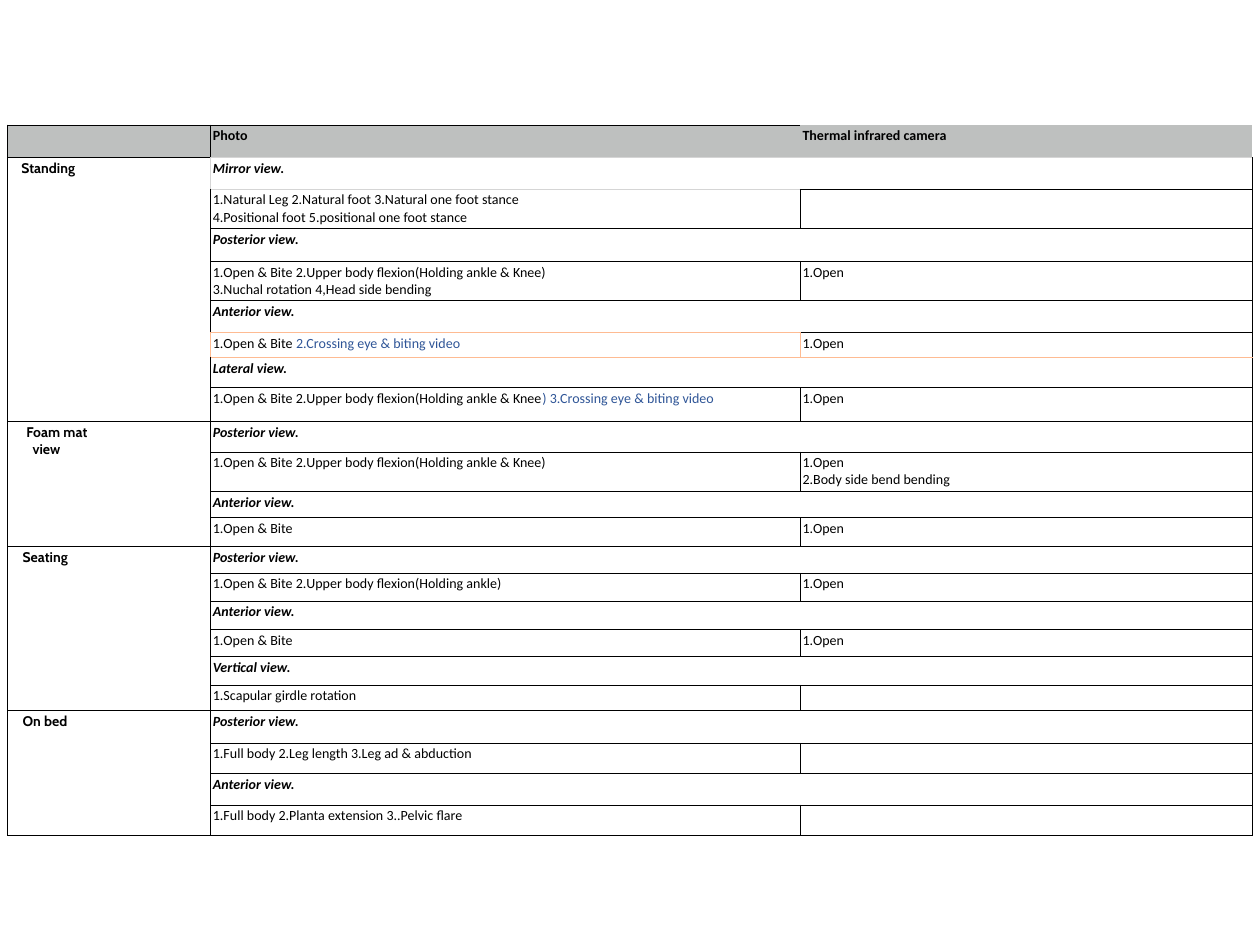
from typing import NamedTuple, Optional

from lxml.etree import SubElement
from pptx import Presentation
from pptx.dml.color import RGBColor as RGB
from pptx.oxml.ns import qn
from pptx.util import Inches, Pt

COLORS = {
    "black": "000000",
    "white": "FFFFFF",
    "header": "BEC0BF",
    "pale": "D5D5D5",
    "orange": "FEBB92",
    "blue": "2F5597",
}
COL_WIDTHS = [1.61, 4.68, 3.59]
INSET = 0.02
FONT_SIZE = 8
BORDER_WIDTH = 0.25


class View(NamedTuple):
    title: str
    photo: str
    thermal: str
    heights: tuple[float, float]
    video: str = ""  # blue ending of the photo text


class Group(NamedTuple):
    label: str
    margin: float
    hanging: float
    views: list[View]


GROUPS = [
    Group("Standing", 0.09, 0, [
        View("Mirror view.",
             "1.Natural Leg 2.Natural foot 3.Natural one foot stance\n"
             "4.Positional foot 5.positional one foot stance", "", (0.25, 0.31)),
        View("Posterior view.",
             "1.Open & Bite 2.Upper body flexion(Holding ankle & Knee)\n"
             "3.Nuchal rotation 4,Head side bending", "1.Open", (0.26, 0.31)),
        View("Anterior view.", "1.Open & Bite ", "1.Open", (0.25, 0.2),
             "2.Crossing eye & biting video"),
        View("Lateral view.", "1.Open & Bite 2.Upper body flexion(Holding ankle & Knee",
             "1.Open", (0.24, 0.27), ") 3.Crossing eye & biting video"),
    ]),
    Group("Foam mat\nview", 0.18, 0.05, [
        View("Posterior view.", "1.Open & Bite 2.Upper body flexion(Holding ankle & Knee)",
             "1.Open\n2.Body side bend bending", (0.24, 0.31)),
        View("Anterior view.", "1.Open & Bite", "1.Open", (0.21, 0.23)),
    ]),
    Group("Seating", 0.1, 0, [
        View("Posterior view.", "1.Open & Bite 2.Upper body flexion(Holding ankle)",
             "1.Open", (0.21, 0.22)),
        View("Anterior view.", "1.Open & Bite", "1.Open", (0.23, 0.21)),
        View("Vertical view.", "1.Scapular girdle rotation", "", (0.23, 0.2)),
    ]),
    Group("On bed", 0.1, 0, [
        View("Posterior view.", "1.Full body 2.Leg length 3.Leg ad & abduction", "",
             (0.26, 0.24)),
        View("Anterior view.", "1.Full body 2.Planta extension 3..Pelvic flare", "",
             (0.25, 0.24)),
    ]),
]

# Sides that differ from the plain black border, by (row, column).
BORDERS: dict[tuple[int, int], dict[str, Optional[str]]] = {
    (0, 1): {"B": "pale", "R": None},
    (0, 2): dict.fromkeys("LRTB"),
    (1, 0): {"R": "pale"},
    (1, 1): {"L": "pale", "T": "pale", "B": "pale"},
    (1, 2): {"L": None, "T": "pale"},
    (2, 1): {"T": "pale"},
    (5, 1): {"B": "orange"},
    (6, 1): dict.fromkeys("LRTB", "orange"),
    (6, 2): {"L": "orange"},
    (7, 1): {"T": "orange"},
}


def style_cell(cell, fill: str, borders: dict[str, Optional[str]]) -> None:
    """Set insets, fill and the four borders; a side of None has no line."""
    cell.margin_left = cell.margin_right = Inches(INSET)
    cell.margin_top = cell.margin_bottom = Inches(INSET)
    tc_pr = cell._tc.get_or_add_tcPr()
    for side in "LRTB":
        color = borders.get(side, "black")
        ln = SubElement(tc_pr, qn(f"a:ln{side}"), w=str(Pt(BORDER_WIDTH)))
        if color is None:
            SubElement(ln, qn("a:noFill"))
        else:
            SubElement(SubElement(ln, qn("a:solidFill")), qn("a:srgbClr"), val=COLORS[color])
    cell.fill.solid()
    cell.fill.fore_color.rgb = RGB.from_string(COLORS[fill])
    # Small end mark, so that an empty cell does not stretch its row
    SubElement(cell.text_frame.paragraphs[0]._p, qn("a:endParaRPr"), sz=str(FONT_SIZE * 100))


def write(cell, text: str, *, font: str = "Calibri", bold: bool = False, italic: bool = False,
          color: str = "black", margin: float = 0, hanging: float = 0) -> None:
    """Add text to the cell's paragraph, with a line break at each newline."""
    p = cell.text_frame.paragraphs[0]
    if margin:
        p_pr = p._p.get_or_add_pPr()
        p_pr.set("marL", str(Inches(margin)))
        p_pr.set("indent", str(-Inches(hanging)))
    for i, line in enumerate(text.split("\n") if text else []):
        if i:
            p.add_line_break()
        r = p.add_run()
        r.text = line
        r.font.name = font
        r.font.size = Pt(FONT_SIZE)
        r.font.bold = bold
        r.font.italic = italic
        r.font.color.rgb = RGB.from_string(COLORS[color])


def draw_view(table, row: int, view: View) -> None:
    title = table.cell(row, 1)
    title.merge(table.cell(row, 2))
    write(title, view.title, bold=True, italic=True)
    write(table.cell(row + 1, 1), view.photo)
    write(table.cell(row + 1, 1), view.video, color="blue")
    write(table.cell(row + 1, 2), view.thermal)


def draw_group(table, row: int, group: Group) -> int:
    """Fill the group's rows and return the row after them."""
    end = row + 2 * len(group.views)
    label = table.cell(row, 0)
    label.merge(table.cell(end - 1, 0))
    write(label, group.label, font="Cabin", bold=True, margin=group.margin,
          hanging=group.hanging)
    for i, view in enumerate(group.views):
        draw_view(table, row + 2 * i, view)
    return end


def draw_table(slide) -> None:
    heights = [0.26] + [h for g in GROUPS for v in g.views for h in v.heights]
    table = slide.shapes.add_table(
        len(heights), len(COL_WIDTHS), Inches(0.06), Inches(0.99),
        Inches(sum(COL_WIDTHS)), Inches(sum(heights))).table
    table.first_row = table.horz_banding = False
    for column, width in zip(table.columns, COL_WIDTHS):
        column.width = Inches(width)
    for row, height in zip(table.rows, heights):
        row.height = Inches(height)

    write(table.cell(0, 1), "Photo", bold=True)
    write(table.cell(0, 2), "Thermal infrared camera", bold=True)
    row = 1
    for group in GROUPS:
        row = draw_group(table, row, group)

    for r in range(len(heights)):
        for c in range(len(COL_WIDTHS)):
            cell = table.cell(r, c)
            borders = BORDERS.get((r, c), {})
            if cell.is_spanned:
                inner = "RTB" if c == 0 else "L"
                borders = {**dict.fromkeys(inner), **borders}
            style_cell(cell, "white" if r else "header", borders)


def main() -> None:
    prs = Presentation()
    prs.slide_width, prs.slide_height = Inches(10), Inches(7.5)
    draw_table(prs.slides.add_slide(prs.slide_layouts[6]))
    prs.save("out.pptx")


if __name__ == "__main__":
    main()
